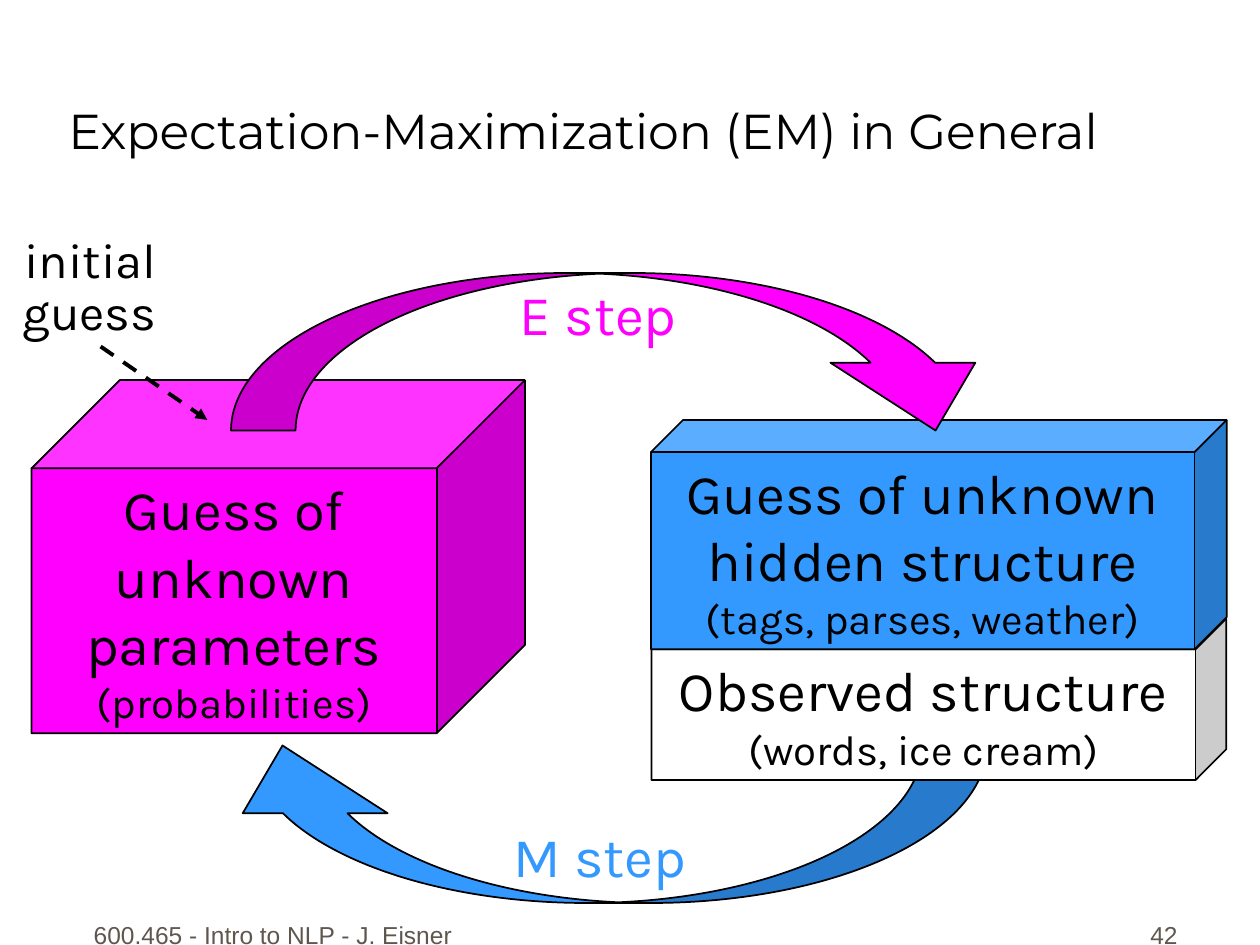
from lxml import etree
from pptx import Presentation
from pptx.dml.color import RGBColor
from pptx.enum.dml import MSO_LINE
from pptx.enum.shapes import MSO_CONNECTOR, MSO_SHAPE
from pptx.enum.text import MSO_ANCHOR, PP_ALIGN
from pptx.oxml.ns import qn
from pptx.util import Pt

BLACK = RGBColor(0x00, 0x00, 0x00)
WHITE = RGBColor(0xFF, 0xFF, 0xFF)
MAGENTA = RGBColor(0xFF, 0x00, 0xFF)
BLUE = RGBColor(0x33, 0x99, 0xFF)
GREY = RGBColor(0x5E, 0x57, 0x4E)


def write(tf, lines, color, font, align):
    """Fill a text frame with (text, size) lines, one paragraph each."""
    for i, (text, size) in enumerate(lines):
        p = tf.add_paragraph() if i else tf.paragraphs[0]
        p.text = text
        p.alignment = align
        p.font.size = Pt(size)
        p.font.name = font
        p.font.color.rgb = color


def add_text(s, box, lines, color=BLACK, font="Karla", align=PP_ALIGN.CENTER,
             anchor=MSO_ANCHOR.TOP, wrap=False):
    tf = s.shapes.add_textbox(*map(Pt, box)).text_frame
    tf.word_wrap = wrap
    tf.vertical_anchor = anchor
    write(tf, lines, color, font, align)
    return tf


def add_solid(s, kind, box, fill, adjustments):
    sp = s.shapes.add_shape(kind, *map(Pt, box))
    sp.shadow.inherit = False
    sp.fill.solid()
    sp.fill.fore_color.rgb = fill
    sp.line.color.rgb = BLACK
    sp.line.width = Pt(1)
    for i, value in enumerate(adjustments):
        sp.adjustments[i] = value
    return sp


def add_cube(s, box, fill, depth, lines):
    tf = add_solid(s, MSO_SHAPE.CUBE, box, fill, [depth]).text_frame
    tf.word_wrap = True
    tf.vertical_anchor = MSO_ANCHOR.MIDDLE
    write(tf, lines, BLACK, "Karla", PP_ALIGN.CENTER)


def add_step(s, left, top, fill, rotation=0):
    sp = add_solid(s, MSO_SHAPE.CURVED_DOWN_ARROW, (left, top, 444, 90),
                   fill, [0.41, 0.92, 0.43])
    sp.rotation = rotation


def add_dashed_arrow(s, x1, y1, x2, y2):
    line = s.shapes.add_connector(MSO_CONNECTOR.STRAIGHT, *map(Pt, (x1, y1, x2, y2)))
    line.line.color.rgb = BLACK
    line.line.width = Pt(2.25)
    line.line.dash_style = MSO_LINE.DASH
    ln = line.line._get_or_add_ln()
    etree.SubElement(ln, qn("a:tailEnd"), type="triangle")
    etree.SubElement(line._element.spPr, qn("a:effectLst"))


def main():
    prs = Presentation()
    prs.slide_width, prs.slide_height = Pt(720), Pt(540)
    s = prs.slides.add_slide(prs.slide_layouts[6])

    # Footer and title
    for box, text, align in [
        ((42, 510, 228, 36), "600.465 - Intro to NLP - J. Eisner", PP_ALIGN.CENTER),
        ((530, 510, 150, 36), "42", PP_ALIGN.RIGHT),
    ]:
        add_text(s, box, [(text, 14)], GREY, "Arial", align, MSO_ANCHOR.BOTTOM, True)
    add_text(s, (32, 4.5, 664, 90), [("Expectation-Maximization (EM) in General", 28)],
             font="Montserrat", align=PP_ALIGN.LEFT, anchor=MSO_ANCHOR.BOTTOM, wrap=True)

    # Parameters, with the initial guess pointing at them
    add_cube(s, (18, 217.2, 282, 201.8), MAGENTA, 0.25,
             [("Guess of", 32), ("unknown", 32), ("parameters", 32),
              ("(probabilities)", 24)])
    tf = add_text(s, (5, 132, 91.5, 66), [("initial", 28), ("guess", 28)],
                  align=PP_ALIGN.RIGHT)
    for p in tf.paragraphs:
        p.line_spacing = 0.88
    add_dashed_arrow(s, 57.5, 198, 118.5, 240)

    # M step, behind the structure cubes
    add_step(s, 120, 426, BLUE, rotation=180)
    add_text(s, (284.5, 466, 116.5, 46), [("M step", 32)], BLUE)

    # Observed and hidden structure
    add_cube(s, (372.3, 353.5, 328.4, 92.2), WHITE, 0.19,
             [("Observed structure", 32), ("(words, ice cream)", 24)])
    add_cube(s, (372, 240, 329, 131), BLUE, 0.14,
             [("Guess of unknown", 32), ("hidden structure", 32),
              ("(tags, parses, weather)", 24)])

    # E step, in front of the cubes
    add_step(s, 132, 156, MAGENTA)
    add_text(s, (289.5, 156, 105, 46), [("E step", 32)], MAGENTA)

    prs.save("out.pptx")


if __name__ == "__main__":
    main()
